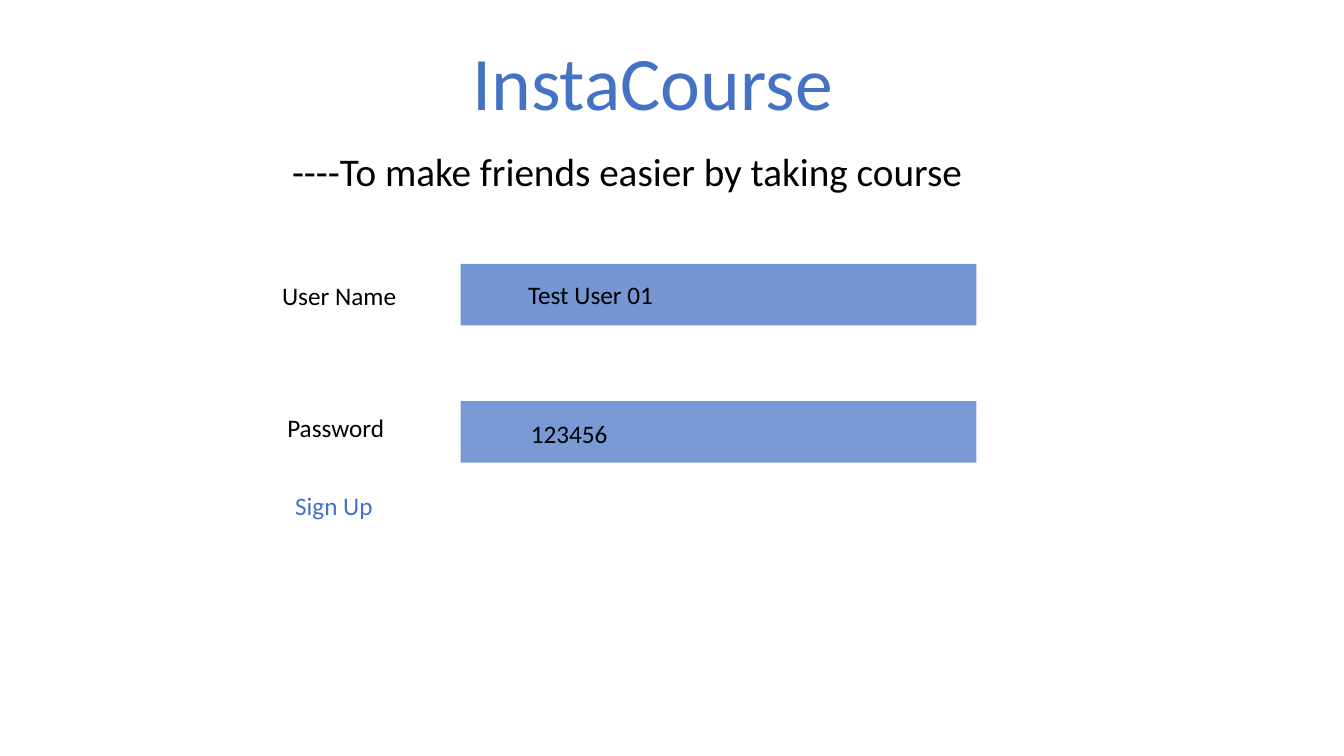
from lxml.etree import SubElement
from pptx import Presentation
from pptx.dml.color import RGBColor
from pptx.enum.shapes import MSO_SHAPE as Shape
from pptx.enum.text import MSO_AUTO_SIZE as AutoSize, PP_ALIGN as Align
from pptx.oxml.ns import qn
from pptx.util import Cm, Pt

COLORS = {"blue": "4472C4", "black": "000000"}
FONT = "Calibri"
LINE_HEIGHT = 1.02


def add_text(page, text, left, top, width, height=LINE_HEIGHT, *,
             size=18, color="black", align=Align.LEFT, wrap=True):
    box = page.shapes.add_textbox(Cm(left), Cm(top), Cm(width), Cm(height))
    frame = box.text_frame
    frame.word_wrap = wrap
    frame.auto_size = AutoSize.SHAPE_TO_FIT_TEXT
    para = frame.paragraphs[0]
    para.alignment = align
    span = para.add_run()
    span.text = text
    span.font.name = FONT
    span.font.size = Pt(size)
    span.font.color.rgb = RGBColor.from_string(COLORS[color])


def add_field(page, top, opacity):
    field = page.shapes.add_shape(Shape.RECTANGLE, Cm(11.61), Cm(top), Cm(13), Cm(1.55))
    field.shadow.inherit = False
    field.line.fill.background()
    field.fill.solid()
    field.fill.fore_color.rgb = RGBColor.from_string(COLORS["blue"])
    tint = field.fill._xPr.find(qn("a:solidFill")).find(qn("a:srgbClr"))
    SubElement(tint, qn("a:alpha")).set("val", str(opacity * 1000))


def main():
    deck = Presentation()
    deck.slide_width, deck.slide_height = Cm(33.87), Cm(19.05)
    page = deck.slides.add_slide(deck.slide_layouts[6])

    add_field(page, 6.65, opacity=74)
    add_field(page, 10.11, opacity=72)

    add_text(page, "User Name", 6.86, 6.93, 3.51)
    add_text(page, "Password", 6.99, 10.26, 3.02)
    add_text(page, "Sign Up", 7.19, 12.22, 3.02, color="blue")
    add_text(page, "Test User 01", 13.06, 6.91, 5.33)
    add_text(page, "123456", 13.13, 10.41, 5.33)

    add_text(page, "InstaCourse", 11.61, 0.76, 9.68, 2.57,
             size=54, color="blue", align=Align.CENTER, wrap=False)
    add_text(page, "----To make friends easier by taking course",
             7.11, 3.58, 20.93, 1.45, size=28)

    deck.save("out.pptx")


if __name__ == "__main__":
    main()
